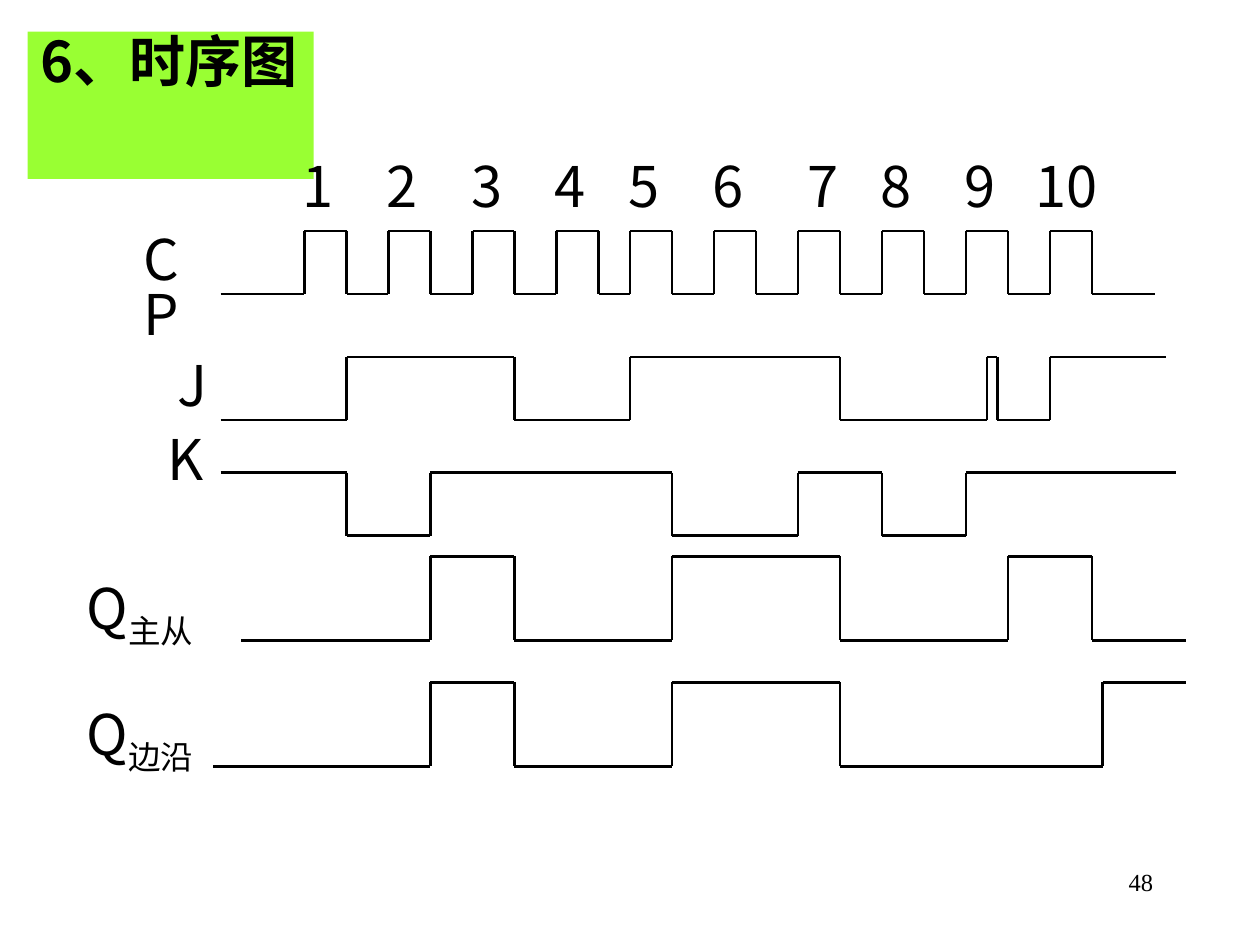
"""Build the timing diagram slide of a flip-flop."""
from itertools import pairwise

from lxml.etree import SubElement as Sub
from pptx import Presentation
from pptx.dml.color import RGBColor as Rgb
from pptx.enum.shapes import MSO_CONNECTOR as Link
from pptx.enum.text import MSO_ANCHOR as Anchor, MSO_AUTO_SIZE as Fit, PP_ALIGN as Align
from pptx.oxml.ns import qn
from pptx.util import Inches, Pt

HUES = {"ink": "000000", "title": "99FF33"}
SANS, SERIF = "Noto Sans CJK SC", "Times New Roman"
UNIT = 1 / 12
TITLE = "6、时序图"
PAGE = "48"

RISES = [29, 37, 45, 53, 60, 68, 76, 84, 92, 100]
CLOCK = [edge for rise in RISES for edge in (rise, rise + 4)]
SHIFTS = {7: 0.09, 10: -0.1}

# Each wave: high row, low row, starts high, first column, edges, last column
WAVES = [
    (22, 28, False, 21, CLOCK, 110),
    (34, 40, False, 21, [33, 49, 60, 80, 94, 95, 100], 111),
    (45, 51, True, 21, [33, 41, 64, 76, 84, 92], 112),
    (53, 61, False, 23, [41, 49, 64, 80, 96, 104], 113),
    (65, 73, False, 20.3, [41, 49, 64, 80, 105], 113),
]
LABELS = [
    ("CP", "", 1.04, 1.82, 0.73, 0.64),
    ("J", "", 1.31, 2.82, 0.47, 0.64),
    ("K", "", 1.23, 3.41, 0.47, 0.64),
    ("Q", "主从", 0.59, 4.54, 2.17, 0.71),
    ("Q", "边沿", 0.59, 5.54, 2.17, 0.71),
]


def place(shape, left, top, width, height):
    shape.left, shape.top = Inches(left), Inches(top)
    shape.width, shape.height = Inches(width), Inches(height)


def style(para, face=SANS, size=32, bold=False):
    font = para.font
    font.name, font.size, font.bold = face, Pt(size), bold
    font.color.rgb = Rgb.from_string(HUES["ink"])
    for run in para.runs:
        run.font.name = face
        Sub(run.font._element, qn("a:ea"), typeface=face)
    if face == SANS:
        para.line_spacing = 0.83


def label(slide, text, sub, *area):
    box = slide.shapes.add_textbox(0, 0, 0, 0)
    place(box, *area)
    box.text_frame.word_wrap = True
    para = box.text_frame.paragraphs[0]
    para.add_run().text = text
    if sub:
        run = para.add_run()
        run.text = sub
        run.font._element.set("baseline", "-25000")
    return para


def draw(slide, high, low, up, start, edges, end):
    points = [(start, high if up else low)]
    for edge in edges:
        points.append((edge, high if up else low))
        up = not up
        points.append((edge, high if up else low))
    points.append((end, high if up else low))
    for pair in pairwise(points):
        ends = [Inches(value * UNIT) for point in pair for value in point]
        line = slide.shapes.add_connector(Link.STRAIGHT, *ends)
        line.line.color.rgb = Rgb.from_string(HUES["ink"])
        line.line.width = Pt(1.5)
        Sub(line._element.spPr, qn("a:effectLst"))


def main():
    deck = Presentation()
    deck.slide_width, deck.slide_height = Inches(10), Inches(7.5)
    slide = deck.slides.add_slide(deck.slide_layouts[5])

    title = slide.shapes.title
    place(title, 0.22, 0.25, 2.27, 1.17)
    title.fill.solid()
    title.fill.fore_color.rgb = Rgb.from_string(HUES["title"])
    frame = title.text_frame
    frame.text = TITLE
    frame.word_wrap, frame.auto_size = True, Fit.NONE
    frame.vertical_anchor = Anchor.TOP
    frame.paragraphs[0].alignment = Align.LEFT
    style(frame.paragraphs[0], bold=True)

    for wave in WAVES:
        draw(slide, *wave)
    for count, rise in enumerate(RISES, 1):
        left = rise * UNIT - 0.11 + SHIFTS.get(count, 0)
        width = 0.47 if count < 10 else 0.73
        style(label(slide, str(count), "", left, 1.24, width, 0.64))
    for item in LABELS:
        style(label(slide, *item))

    page = label(slide, PAGE, "", 7.17, 6.83, 2.08, 0.5)
    page.alignment = Align.RIGHT
    style(page, SERIF, 14)
    deck.save("out.pptx")


if __name__ == "__main__":
    main()
